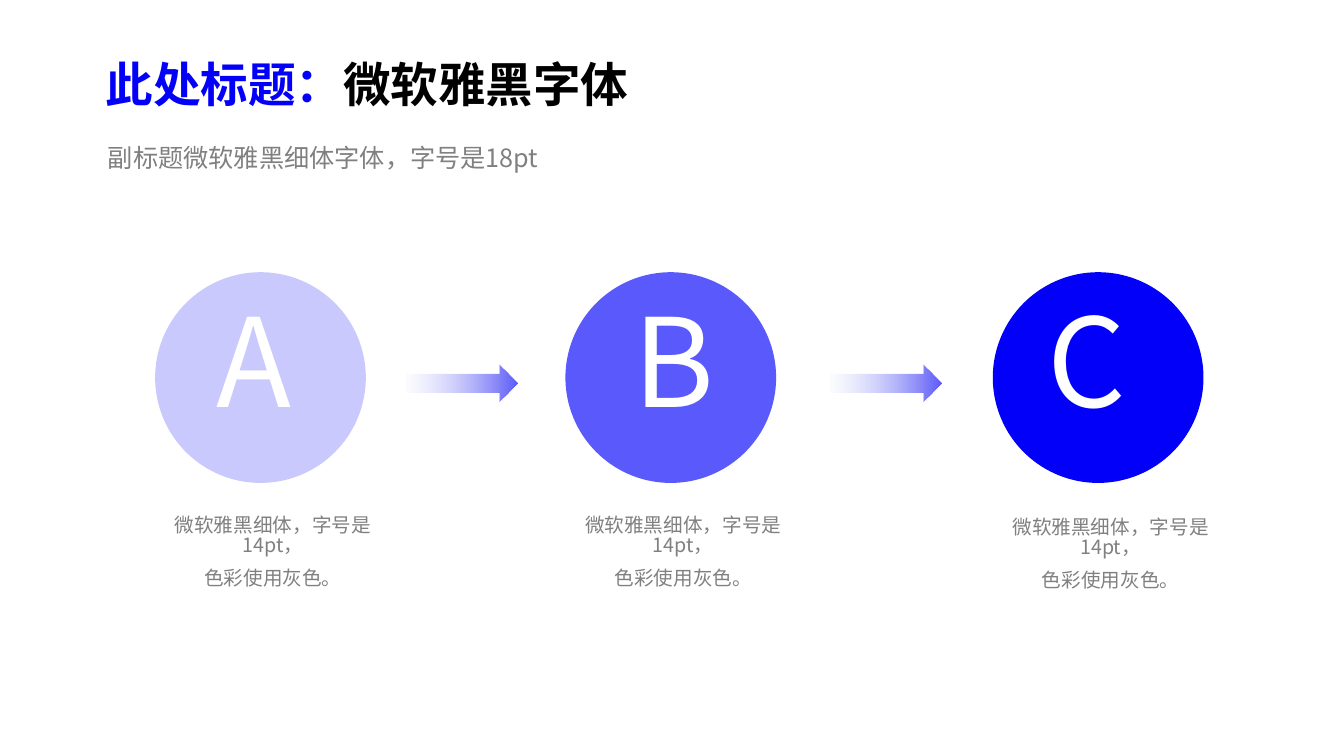
"""Build a slide with a title and a three-step A-B-C flow."""
from dataclasses import dataclass

from lxml.etree import SubElement
from pptx import Presentation
from pptx.dml.color import RGBColor
from pptx.enum.shapes import MSO_SHAPE
from pptx.enum.text import PP_ALIGN
from pptx.oxml.ns import qn
from pptx.shapes.autoshape import Shape
from pptx.shapes.shapetree import GroupShapes, SlideShapes
from pptx.util import Cm, Pt

BLUE = RGBColor(0x03, 0x00, 0xF9)
ARROW_START = RGBColor(0xF6, 0xF8, 0xFC)
ARROW_END = RGBColor(0x5C, 0x5B, 0xF8)
GRAY = RGBColor(0x80, 0x80, 0x80)
BLACK = RGBColor(0, 0, 0)
WHITE = RGBColor(0xFF, 0xFF, 0xFF)
FONT_NAME = "Noto Sans CJK SC"

CIRCLE_TOP, CIRCLE_SIZE = 6.86, 5.31
LETTER_TOP, LETTER_HEIGHT = 7.49, 4.01
CAPTION_INDENT, CAPTION_WIDTH, CAPTION_HEIGHT = -0.51, 6.96, 1.8
CAPTION_LINES = ("微软雅黑细体，字号是14pt，", "色彩使用灰色。")
ARROW_LEFTS = (10.24, 20.93)
ARROW_TOP, ARROW_WIDTH, ARROW_HEIGHT = 9.19, 2.79, 0.94


@dataclass(frozen=True)
class Step:
    letter: str
    left: float
    opacity: int
    letter_indent: float
    letter_width: float
    caption_top: float


@dataclass(frozen=True)
class Run:
    text: str
    color: RGBColor


@dataclass(frozen=True)
class TextStyle:
    size: int
    line_spacing: float
    bold: bool = False
    alignment: PP_ALIGN = PP_ALIGN.LEFT
    wrap: bool = True


STEPS = (
    Step("A", 3.91, 21, 1.3, 2.72, 12.9),
    Step("B", 14.25, 65, 1.47, 2.36, 12.9),
    Step("C", 25.02, 100, 1.14, 2.62, 12.95),
)
TITLE_STYLE = TextStyle(34, 1.3, bold=True)
SUBTITLE_STYLE = TextStyle(18, 1.14)
LETTER_STYLE = TextStyle(88, 0.89, wrap=False)
CAPTION_STYLE = TextStyle(14, 0.83, alignment=PP_ALIGN.CENTER)


def set_opacity(shape: Shape, percent: int) -> None:
    color = shape.element.spPr.find(".//" + qn("a:srgbClr"))
    SubElement(color, qn("a:alpha")).set("val", str(percent * 1000))


def add_text(shapes: SlideShapes | GroupShapes, box: tuple[float, ...],
             paragraphs: list[list[Run]], style: TextStyle) -> Shape:
    shape = shapes.add_textbox(*map(Cm, box))
    frame = shape.text_frame
    frame.word_wrap = style.wrap
    for index, runs in enumerate(paragraphs):
        paragraph = frame.add_paragraph() if index else frame.paragraphs[0]
        paragraph.alignment = style.alignment
        paragraph.line_spacing = style.line_spacing
        paragraph.space_before = Pt(10 if index else 0)
        for item in runs:
            run = paragraph.add_run()
            run.text = item.text
            formats = {"name": FONT_NAME, "size": Pt(style.size), "bold": style.bold}
            for name, value in formats.items():
                setattr(run.font, name, value)
            run.font.color.rgb = item.color
            SubElement(run.font._element, qn("a:ea")).set("typeface", FONT_NAME)
    return shape


def add_arrow(shapes: SlideShapes, left: float) -> None:
    arrow = shapes.add_shape(MSO_SHAPE.RIGHT_ARROW, Cm(left), Cm(ARROW_TOP),
                             Cm(ARROW_WIDTH), Cm(ARROW_HEIGHT))
    arrow.shadow.inherit = False
    arrow.line.fill.background()
    arrow.fill.gradient()
    arrow.fill.gradient_angle = 0
    for stop, color in zip(arrow.fill.gradient_stops, (ARROW_START, ARROW_END)):
        stop.color.rgb = color
    set_opacity(arrow, 39)


def add_step(shapes: SlideShapes, step: Step) -> None:
    members = shapes.add_group_shape().shapes
    circle = members.add_shape(MSO_SHAPE.OVAL, Cm(step.left), Cm(CIRCLE_TOP),
                               Cm(CIRCLE_SIZE), Cm(CIRCLE_SIZE))
    circle.shadow.inherit = False
    circle.line.fill.background()
    circle.fill.solid()
    circle.fill.fore_color.rgb = BLUE
    if step.opacity < 100:
        set_opacity(circle, step.opacity)
    letter_box = (step.left + step.letter_indent, LETTER_TOP,
                  step.letter_width, LETTER_HEIGHT)
    add_text(members, letter_box, [[Run(step.letter, WHITE)]], LETTER_STYLE)
    caption_box = (step.left + CAPTION_INDENT, step.caption_top,
                   CAPTION_WIDTH, CAPTION_HEIGHT)
    add_text(members, caption_box, [[Run(line, GRAY)] for line in CAPTION_LINES],
             CAPTION_STYLE)


def main() -> None:
    presentation = Presentation()
    presentation.slide_width, presentation.slide_height = Cm(33.87), Cm(19.05)
    slide = presentation.slides.add_slide(presentation.slide_layouts[6])
    for left in ARROW_LEFTS:
        add_arrow(slide.shapes, left)
    for step in STEPS:
        add_step(slide.shapes, step)
    add_text(slide.shapes, (2.41, 0.84, 24.36, 2.29),
             [[Run("此处标题：", BLUE), Run("微软雅黑字体", BLACK)]], TITLE_STYLE)
    subtitle = add_text(slide.shapes, (2.72, 3.38, 14.78, 1.12),
                        [[Run("副标题微软雅黑细体字体，字号是18pt", GRAY)]], SUBTITLE_STYLE)
    margins = {"margin_left": 0, "margin_top": 0.1,
               "margin_right": 0.61, "margin_bottom": 0.1}
    for name, value in margins.items():
        setattr(subtitle.text_frame, name, Cm(value))
    presentation.save("out.pptx")


if __name__ == "__main__":
    main()
